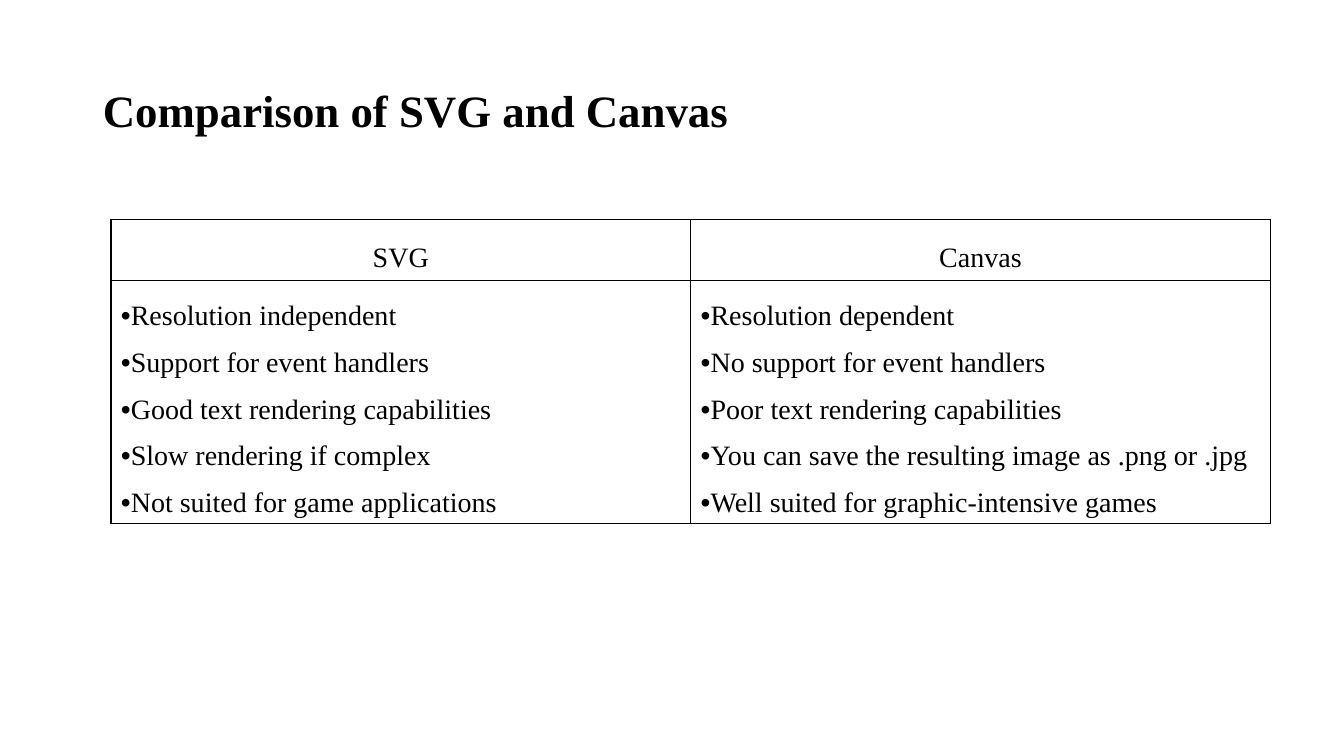
from dataclasses import dataclass

from lxml.etree import SubElement
from pptx import Presentation
from pptx.dml.color import RGBColor
from pptx.enum.text import MSO_ANCHOR as Anchor, PP_ALIGN as Align
from pptx.oxml.ns import qn
from pptx.util import Inches, Pt


@dataclass(frozen=True)
class Theme:
    font: str = "Times New Roman"
    ink: str = "000000"
    paper: str = "FFFFFF"
    title_size: int = 32
    body_size: int = 20
    border: int = 1
    title_spacing: float = 0.9
    body_spacing: float = 1.5


THEME = Theme()
SLIDE_SIZE = (13.33, 7.5)
TITLE_BOX = (0.92, 0.4, 11.5, 1.45)
TABLE_BOX = (1.1, 2.18, 11.5, 3.0)
ROW_SHARES = (0.2, 0.8)

TITLE = "Comparison of SVG and Canvas"
COMPARISON = {
    "SVG": [
        "Resolution independent",
        "Support for event handlers",
        "Good text rendering capabilities",
        "Slow rendering if complex",
        "Not suited for game applications",
    ],
    "Canvas": [
        "Resolution dependent",
        "No support for event handlers",
        "Poor text rendering capabilities",
        "You can save the resulting image as .png or .jpg",
        "Well suited for graphic-intensive games",
    ],
}


def format_para(para, size, spacing, align=Align.LEFT, bold=False):
    para.alignment = align
    para.line_spacing = spacing
    font_format = {"name": THEME.font, "size": Pt(size), "bold": bold}
    for span in para.runs:
        for name, value in font_format.items():
            setattr(span.font, name, value)
        span.font.color.rgb = RGBColor.from_string(THEME.ink)


def add_bullet(para):
    properties = para._p.get_or_add_pPr()
    properties.set("marL", "0")
    properties.set("indent", "0")
    SubElement(properties, qn("a:buFont"), typeface="Arial")
    SubElement(properties, qn("a:buChar"), char="•")


def add_borders(cell):
    """Line all four sides; the lines must precede the cell's fill in the XML."""
    properties = cell._tc.get_or_add_tcPr()
    for side in ("lnL", "lnR", "lnT", "lnB"):
        line = SubElement(properties, qn(f"a:{side}"), w=str(Pt(THEME.border)))
        fill = SubElement(line, qn("a:solidFill"))
        SubElement(fill, qn("a:srgbClr"), val=THEME.ink)


def fill_cell(cell, lines, align=Align.LEFT, bulleted=False):
    add_borders(cell)
    cell.fill.solid()
    cell.fill.fore_color.rgb = RGBColor.from_string(THEME.paper)
    cell.vertical_anchor = Anchor.MIDDLE
    cell.text = "\n".join(lines)
    for para in cell.text_frame.paragraphs:
        if bulleted:
            add_bullet(para)
        format_para(para, THEME.body_size, THEME.body_spacing, align)


def place_title(page, box):
    title = page.shapes.title
    for name, value in zip(("left", "top", "width", "height"), box):
        setattr(title, name, Inches(value))
    frame = title.text_frame
    frame.text = TITLE
    frame.word_wrap = True
    frame.vertical_anchor = Anchor.MIDDLE
    format_para(frame.paragraphs[0], THEME.title_size, THEME.title_spacing, bold=True)


def place_comparison(page, box):
    left, top, width, height = map(Inches, box)
    columns = len(COMPARISON)
    table = page.shapes.add_table(
        len(ROW_SHARES), columns, left, top, width, height
    ).table
    for row, share in zip(table.rows, ROW_SHARES):
        row.height = int(height * share)
    for index, (heading, points) in enumerate(COMPARISON.items()):
        table.columns[index].width = width // columns
        fill_cell(table.cell(0, index), [heading], Align.CENTER)
        fill_cell(table.cell(1, index), points, bulleted=True)


def main():
    deck = Presentation()
    deck.slide_width, deck.slide_height = map(Inches, SLIDE_SIZE)
    page = deck.slides.add_slide(deck.slide_layouts.get_by_name("Title Only"))
    place_title(page, TITLE_BOX)
    place_comparison(page, TABLE_BOX)
    deck.save("out.pptx")


if __name__ == "__main__":
    main()
